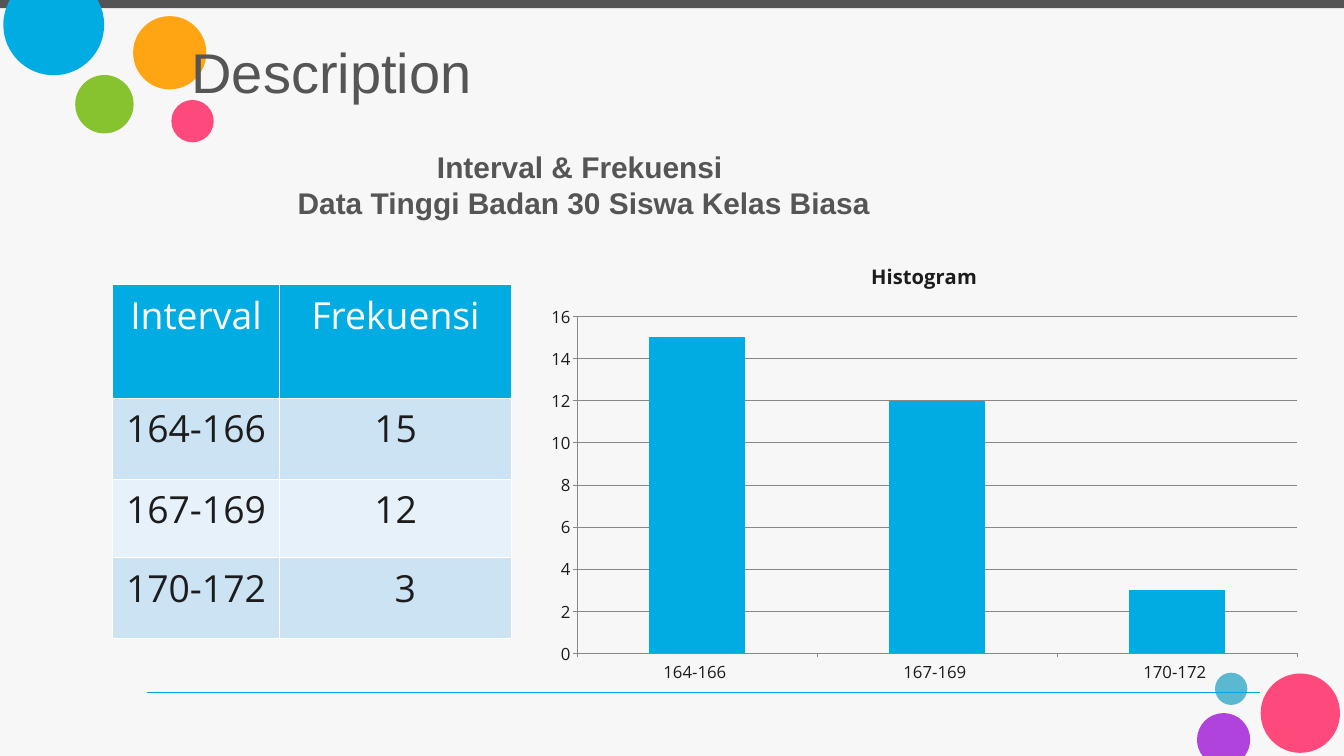
from math import asin, cos, pi, sin, tan

from lxml.etree import SubElement
from pptx import Presentation
from pptx.chart.data import CategoryChartData
from pptx.dml.color import RGBColor
from pptx.enum.chart import XL_CHART_TYPE, XL_TICK_MARK
from pptx.enum.shapes import MSO_CONNECTOR, MSO_SHAPE
from pptx.enum.text import MSO_ANCHOR, MSO_AUTO_SIZE, PP_ALIGN
from pptx.oxml import parse_xml
from pptx.oxml.ns import nsdecls, qn
from pptx.util import Pt

WIDTH, HEIGHT = 1440, 810
COLORS = {
    "background": "F7F7F7", "bar": "545454", "heading": "555555",
    "blue": "00ACE2", "line": "00A8DD", "green": "87C32F",
    "orange": "FFA513", "pink": "FD497C", "teal": "5BB8D1",
    "purple": "B143DD", "text": "1C1C1C", "white": "FFFFFF",
    "band_dark": "CCE3F4", "band_light": "E7F1FA", "grid": "888888",
}
ROWS = [("164-166", 15), ("167-169", 12), ("170-172", 3)]


def color(name):
    """Return the named colour."""
    return RGBColor.from_string(COLORS[name])


def paint(shape, name):
    """Give a shape a flat fill without line or shadow."""
    shape.shadow.inherit = False
    shape.fill.solid()
    shape.fill.fore_color.rgb = color(name)
    shape.line.fill.background()


def write(frame, text, *, size, font, ink, bold=False, align=PP_ALIGN.CENTER):
    """Write one formatted paragraph into a text frame."""
    para = frame.paragraphs[0]
    para.text = text
    para.alignment = align
    para.font.size = Pt(size)
    para.font.name = font
    para.font.bold = bold
    para.font.color.rgb = color(ink)


def set_frame(frame):
    """Wrap, anchor and pad a heading frame."""
    frame.word_wrap = True
    frame.auto_size = MSO_AUTO_SIZE.NONE
    frame.vertical_anchor = MSO_ANCHOR.MIDDLE
    frame.margin_left = frame.margin_right = Pt(13)
    frame.margin_top = frame.margin_bottom = Pt(6.5)


def add_circle(page, left, top, size, name):
    """Add a whole circle."""
    circle = page.shapes.add_shape(
        MSO_SHAPE.OVAL, Pt(left), Pt(top), Pt(size), Pt(size))
    paint(circle, name)


def add_cut_circle(page, left, top, size, name):
    """Add a circle cut off at the slide's top or bottom edge."""
    radius = size / 2
    center_x, center_y = left + radius, top + radius
    edge, way = (0, 1) if top < 0 else (HEIGHT, -1)
    start = asin(way * (edge - center_y) / radius)
    angles = [start, 0, pi / 2, pi, pi - start]

    def place(angle, pull=0):
        """Return a point on the circle, moved along its tangent by pull."""
        x = center_x + radius * (cos(angle) - pull * sin(angle))
        y = center_y + way * radius * (sin(angle) + pull * cos(angle))
        return Pt(x), Pt(y)

    builder = page.shapes.build_freeform(*place(start))
    builder.add_line_segments([place(angle) for angle in angles[1:]])
    circle = builder.convert_to_shape()
    segments = circle.element.findall(f".//{qn('a:lnTo')}")
    for segment, begin, end in zip(segments, angles, angles[1:]):
        pull = 4 / 3 * tan((end - begin) / 4)
        segment.tag = qn("a:cubicBezTo")
        segment.remove(segment[0])
        for x, y in (place(begin, pull), place(end, -pull), place(end)):
            SubElement(segment, qn("a:pt"), x=str(x - circle.left),
                       y=str(y - circle.top))
    paint(circle, name)


def add_decoration(page):
    """Draw the top bar and the two groups of circles."""
    bar = page.shapes.add_shape(MSO_SHAPE.RECTANGLE, 0, 0, Pt(WIDTH), Pt(8.64))
    paint(bar, "bar")
    add_circle(page, 183.6, 107.1, 45.4, "pink")
    add_cut_circle(page, 3.6, -27.4, 108, "blue")
    add_circle(page, 80.6, 80.4, 62.6, "green")
    add_circle(page, 142.6, 17.3, 78.5, "orange")
    add_circle(page, 1301.8, 720.7, 34.6, "teal")
    add_circle(page, 1350.7, 721.6, 85, "pink")
    add_cut_circle(page, 1282.5, 764, 57, "purple")


def add_title(page, left, top, width, height):
    """Place the slide title in front of the circles."""
    title = page.shapes.title
    title.left, title.top = Pt(left), Pt(top)
    title.width, title.height = Pt(width), Pt(height)
    set_frame(title.text_frame)
    write(title.text_frame, "Description", size=60, font="Arial",
          ink="heading", align=PP_ALIGN.LEFT)
    page.shapes.element.append(title.element)


def add_subtitle(page, left, top, width, height):
    """Add the two-line heading above the table and chart."""
    box = page.shapes.add_textbox(Pt(left), Pt(top), Pt(width), Pt(height))
    set_frame(box.text_frame)
    write(box.text_frame,
          "Interval & Frekuensi\v Data Tinggi Badan 30 Siswa Kelas Biasa",
          size=32, font="Arial", ink="heading", bold=True)


def add_rule(page, left, top, width):
    """Draw the thin line at the foot of the slide."""
    rule = page.shapes.add_connector(
        MSO_CONNECTOR.STRAIGHT, Pt(left), Pt(top), Pt(left + width), Pt(top))
    rule.line.color.rgb = color("line")
    rule.line.width = Pt(0.75)
    SubElement(rule.element.spPr, qn("a:effectLst"))


def add_borders(cell):
    """Give a cell thin white borders."""
    properties = cell._tc.get_or_add_tcPr()
    for index, side in enumerate(["lnL", "lnR", "lnT", "lnB"]):
        properties.insert(index, parse_xml(
            f'<a:{side} {nsdecls("a")} w="{Pt(1)}"><a:solidFill>'
            f'<a:srgbClr val="{COLORS["white"]}"/></a:solidFill></a:{side}>'))


def add_interval_table(page, left, top, width, height):
    """Add the table of intervals and frequencies."""
    rows = [("Interval", "Frekuensi"), *ROWS]
    table = page.shapes.add_table(
        len(rows), 2, Pt(left), Pt(top), Pt(width), Pt(height)).table
    table.columns[0].width = Pt(179)
    table.columns[1].width = Pt(width - 179)
    fills = ["blue", "band_dark", "band_light", "band_dark"]
    heights = [121.7, 86.4, 84.2, 87.1]
    for r, (values, fill, row_height) in enumerate(zip(rows, fills, heights)):
        table.rows[r].height = Pt(row_height)
        for c, value in enumerate(values):
            cell = table.cell(r, c)
            cell.margin_left = cell.margin_right = Pt(14.4)
            cell.margin_top = cell.margin_bottom = Pt(5)
            cell.fill.solid()
            cell.fill.fore_color.rgb = color(fill)
            write(cell.text_frame, str(value), size=40, font="Open Sans",
                  ink="text" if r else "white")
            add_borders(cell)
    table.cell(3, 1).margin_left = Pt(35)


def add_histogram(page, left, top, width, height):
    """Add the column chart of the frequencies."""
    data = CategoryChartData()
    data.categories = [f"{interval} " for interval, _ in ROWS]
    data.add_series("Series 1", [count for _, count in ROWS])
    chart = page.shapes.add_chart(
        XL_CHART_TYPE.COLUMN_STACKED, Pt(left), Pt(top), Pt(width),
        Pt(height), data).chart
    chart.font.size = Pt(18)
    chart.font.name = "Open Sans"
    chart.font.color.rgb = color("text")
    chart.has_legend = False
    chart.has_title = True
    write(chart.chart_title.text_frame, "Histogram", size=21.6,
          font="Open Sans", ink="text", bold=True)
    plot = chart.plots[0]
    plot.vary_by_categories = False
    plot.gap_width, plot.overlap = 150, 100
    series_fill = plot.series[0].format.fill
    series_fill.solid()
    series_fill.fore_color.rgb = color("blue")
    for axis in (chart.category_axis, chart.value_axis):
        axis.major_tick_mark = XL_TICK_MARK.OUTSIDE
        axis.format.line.color.rgb = color("grid")
    chart.value_axis.major_gridlines.format.line.color.rgb = color("grid")


def main():
    """Build and save the slide."""
    deck = Presentation()
    deck.slide_width, deck.slide_height = Pt(WIDTH), Pt(HEIGHT)
    page = deck.slides.add_slide(deck.slide_layouts[5])
    page.background.fill.solid()
    page.background.fill.fore_color.rgb = color("background")
    add_decoration(page)
    add_title(page, 192.2, 26.8, 1164, 99.4)
    add_rule(page, 157.7, 742.3, 1192.3)
    add_interval_table(page, 120.5, 305.1, 427.7, 379.4)
    add_histogram(page, 574, 261.4, 832.3, 480.2)
    add_subtitle(page, 72, 151.6, 1098.7, 93)
    deck.save("out.pptx")


if __name__ == "__main__":
    main()
